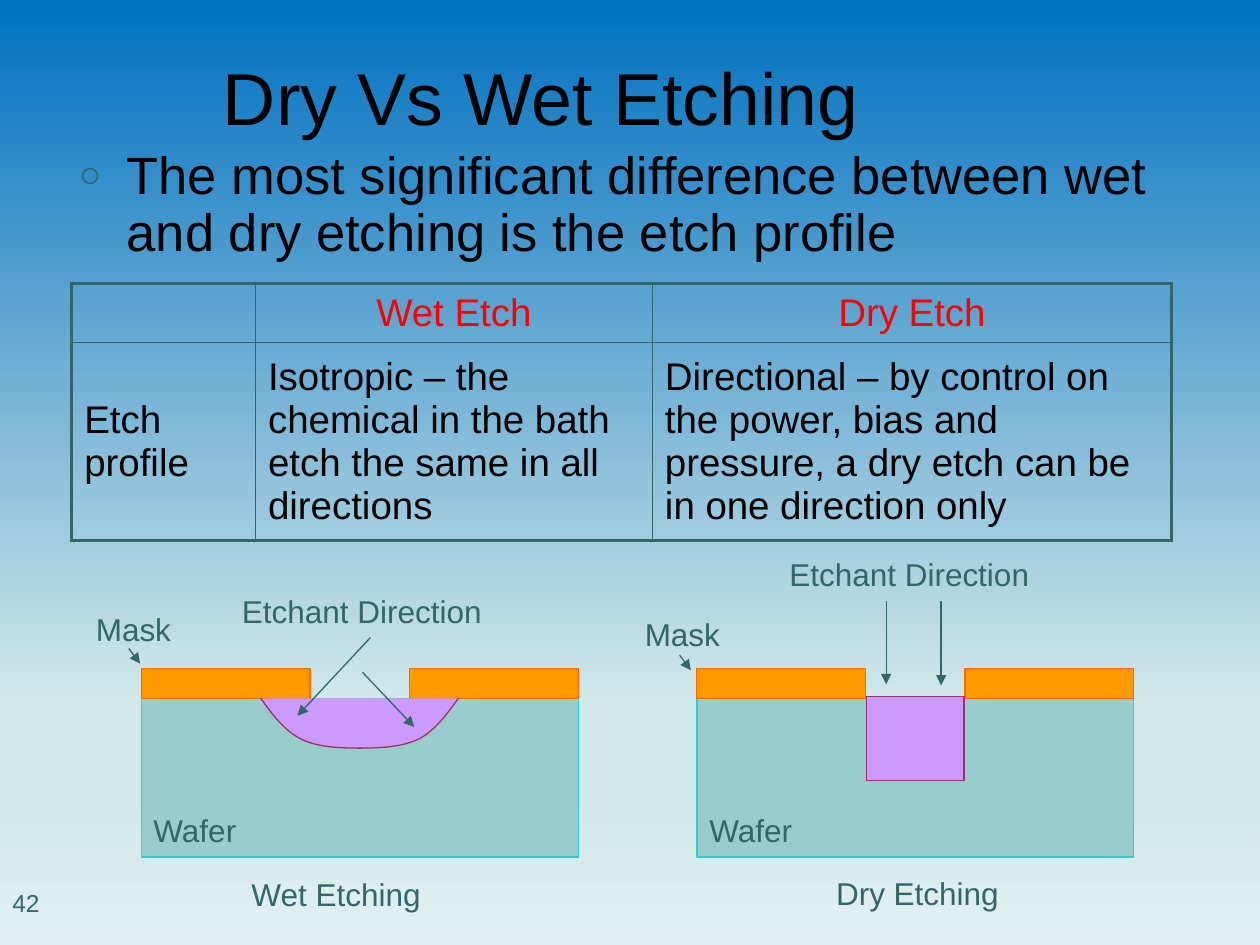
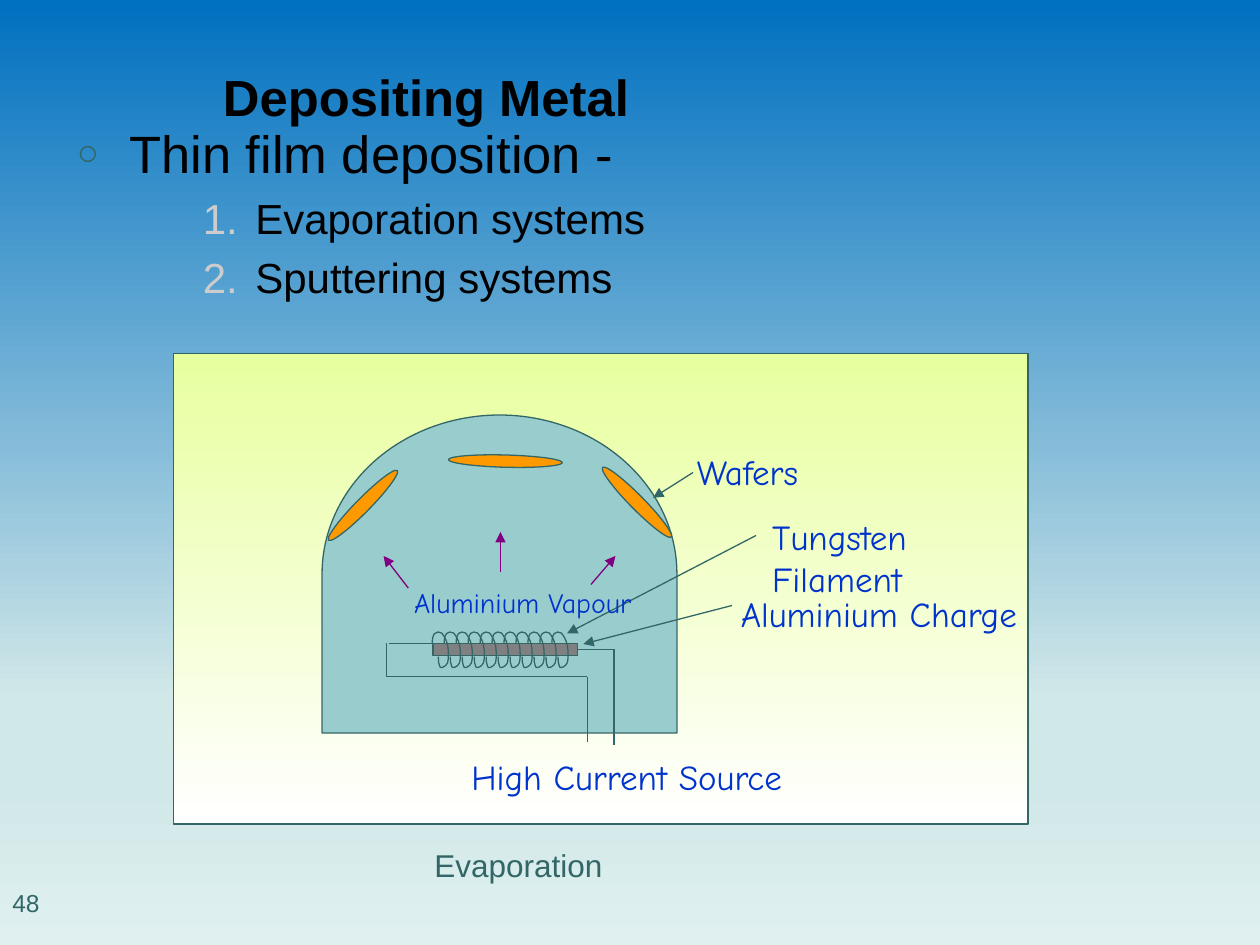
"""Build two slides on etching and on depositing metal."""
from lxml import etree
from pptx import Presentation
from pptx import util as u
from pptx.dml.color import RGBColor
from pptx.enum import shapes, text
from pptx.oxml.ns import qn

Pt = u.Pt
KIND = shapes.MSO_SHAPE
BLACK = RGBColor(0, 0, 0)
RED = RGBColor(0xFF, 0, 0)
TEAL = RGBColor(0x33, 0x66, 0x66)
PALE = RGBColor(0x99, 0xCC, 0xCC)
CYAN = RGBColor(0x33, 0xCC, 0xCC)
AMBER = RGBColor(0xFF, 0x99, 0)
RUST = RGBColor(0xFF, 0x66, 0)
LILAC = RGBColor(0xCC, 0x99, 0xFF)
PLUM = RGBColor(0x99, 0x33, 0x66)
PURPLE = RGBColor(0x80, 0, 0x80)
GREY = RGBColor(0x80, 0x80, 0x80)
SILVER = RGBColor(0xCC, 0xCC, 0xCC)
BLUE = RGBColor(0, 0x33, 0xCC)
LIME = RGBColor(0xE8, 0xFF, 0x9F)
WHITE = RGBColor(0xFF, 0xFF, 0xFF)
MIST = RGBColor(0xD1, 0xE8, 0xE8)
SKY = [(0, RGBColor(0, 0x70, 0xC0)), (74, MIST), (83, MIST),
       (100, RGBColor(0xE0, 0xF0, 0xF0))]
GLOW = [(0, LIME), (100, WHITE)]


def add(parent, tag, **attrs):
    """Append a drawing element and return it."""
    return etree.SubElement(parent, qn("a:" + tag), attrs)


def paint(parent, color):
    """Append a solid colour to an element."""
    add(add(parent, "solidFill"), "srgbClr", val=str(color))


def fade(fill, root, stops):
    """Turn a fill into a gradient from top to bottom."""
    fill.gradient()
    fill.gradient_angle = 270
    ramp = root.find(".//" + qn("a:gsLst"))
    for old in list(ramp):
        ramp.remove(old)
    for pos, color in stops:
        add(add(ramp, "gs", pos=str(pos * 1000)), "srgbClr", val=str(color))


def write(para, words, size=18, color=TEAL, font="Arial", bold=False,
          align=text.PP_ALIGN.LEFT, before=0, lead=None):
    """Put formatted words into a paragraph."""
    run = para.add_run()
    run.text = words
    run.font.size, run.font.name, run.font.bold = Pt(size), font, bold
    run.font.color.rgb = color
    para.alignment, para.space_before = align, Pt(before)
    if lead:
        para.line_spacing = lead


def bullet(para, left, hang, color, size, mark=None):
    """Give a paragraph a hanging sign, or a number when no mark is set."""
    props = para._p.get_or_add_pPr()
    props.set("marL", str(Pt(left)))
    props.set("indent", str(-Pt(hang)))
    add(add(props, "buClr"), "srgbClr", val=str(color))
    add(props, "buSzPct", val=str(size * 1000))
    add(props, "buFont", typeface="Arial")
    if mark:
        add(props, "buChar", char=mark)
    else:
        add(props, "buAutoNum", type="arabicPeriod")


def bend(shape):
    """Turn each three straight segments of an outline into one cubic curve."""
    legs = shape.element.findall(".//" + qn("a:lnTo"))
    track = legs[0].getparent()
    for i in range(0, len(legs), 3):
        arc = add(track, "cubicBezTo")
        for leg in legs[i:i + 3]:
            arc.append(leg[0])
            track.remove(leg)


class Deck:
    """Hold the shared style and the current slide."""

    def __init__(self):
        """Start a deck with the shared backdrop."""
        self.prs = Presentation()
        self.prs.slide_width, self.prs.slide_height = Pt(720), Pt(540)
        master = self.prs.slide_master
        fade(master.background.fill, master.element, SKY)

    def open(self, title, page, **form):
        """Begin a slide with its title and page number."""
        self.slide = self.prs.slides.add_slide(self.prs.slide_layouts[1])
        frame = self.place(self.slide.shapes.title, 120.2, 15.3, 552, 79)
        frame.vertical_anchor = text.MSO_ANCHOR.MIDDLE
        write(frame.paragraphs[0], title, color=BLACK, **form)
        self.label(page, 0, 504, 102, 36, wrap=True, size=14)

    def place(self, holder, x, y, w, h):
        """Move a placeholder and return its text frame."""
        holder.left, holder.top, holder.width, holder.height = map(
            Pt, (x, y, w, h))
        frame = holder.text_frame
        frame.auto_size, frame.word_wrap = text.MSO_AUTO_SIZE.NONE, True
        return frame

    def body(self, x, y, w, h):
        """Return the text frame of the moved list."""
        return self.place(self.slide.placeholders[1], x, y, w, h)

    def label(self, words, x, y, w, h=29, wrap=False, **form):
        """Add a text box, which fits its words unless they wrap."""
        box = self.slide.shapes.add_textbox(Pt(x), Pt(y), Pt(w), Pt(h))
        frame = box.text_frame
        frame.word_wrap = wrap
        if not wrap:
            frame.auto_size = text.MSO_AUTO_SIZE.SHAPE_TO_FIT_TEXT
        write(frame.paragraphs[0], words, **form)

    def dress(self, shape, fill, line):
        """Set fill and outline of a shape."""
        shape.shadow.inherit = False
        if fill is None:
            shape.fill.background()
        elif isinstance(fill, list):
            fade(shape.fill, shape.element, fill)
        else:
            shape.fill.solid()
            shape.fill.fore_color.rgb = fill
        shape.line.color.rgb, shape.line.width = line, Pt(0.75)

    def shape(self, x, y, w, h, fill, line=TEAL, kind=KIND.RECTANGLE, turn=0):
        """Add a preset shape."""
        item = self.slide.shapes.add_shape(kind, Pt(x), Pt(y), Pt(w), Pt(h))
        item.rotation = turn
        self.dress(item, fill, line)

    def curve(self, dots, fill=None, line=TEAL):
        """Add an open curved outline."""
        first, *rest = [(Pt(x), Pt(y)) for x, y in dots]
        pen = self.slide.shapes.build_freeform(*first)
        pen.add_line_segments(rest, close=False)
        item = pen.convert_to_shape()
        bend(item)
        self.dress(item, fill, line)

    def line(self, x1, y1, x2, y2, color=TEAL, tip=True):
        """Add a straight line, with an arrowhead at its end by default."""
        item = self.slide.shapes.add_connector(
            shapes.MSO_CONNECTOR.STRAIGHT, Pt(x1), Pt(y1), Pt(x2), Pt(y2))
        item.line.color.rgb, item.line.width = color, Pt(0.75)
        props = item.element.spPr
        if tip:
            add(props.find(qn("a:ln")), "tailEnd", type="triangle")
        add(props, "effectLst")

    def table(self, x, y, cols, rows, cells):
        """Add a table with a heavy frame and thin inner rules."""
        grid = self.slide.shapes.add_table(
            len(rows), len(cols), Pt(x), Pt(y), Pt(sum(cols)), Pt(sum(rows))).table
        grid.first_row = grid.horz_banding = False
        for col, w in zip(grid.columns, cols):
            col.width = Pt(w)
        for i, h in enumerate(rows):
            grid.rows[i].height = Pt(h)
            for j, words in enumerate(cells[i]):
                cell = grid.cell(i, j)
                cell.vertical_anchor = text.MSO_ANCHOR.MIDDLE
                if words:
                    write(cell.text_frame.paragraphs[0], words, size=22,
                          color=BLACK if i else RED,
                          align=text.PP_ALIGN.LEFT if i else text.PP_ALIGN.CENTER)
                props = cell._tc.get_or_add_tcPr()
                edges = {"lnL": j == 0, "lnR": j == len(cols) - 1,
                         "lnT": i == 0, "lnB": i == len(rows) - 1}
                for tag, outer in edges.items():
                    paint(add(props, tag, w=str(Pt(2.25 if outer else 1))), TEAL)
                add(props, "noFill")


def etch(deck):
    """Draw the slide that compares both ways of etching."""
    deck.open("Dry Vs Wet Etching", "42", size=42)
    para = deck.body(38, 81.7, 648, 55).paragraphs[0]
    write(para, "The most significant difference between wet and dry etching "
          "is the etch profile", size=30, color=BLACK, before=3, lead=0.9)
    bullet(para, 27.2, 27.2, TEAL, 70, "○")
    deck.table(41, 162, (105, 226.8, 296.7), (33.8, 113), [
        ("", "Wet Etch", "Dry Etch"),
        ("Etch profile",
         "Isotropic – the chemical in the bath etch the same in all directions",
         "Directional – by control on the power, bias and pressure, "
         "a dry etch can be in one direction only")])
    for x in (80.8, 398.2):
        deck.shape(x, 399, 249.7, 90.7, PALE, CYAN)
        for gap in (0, 153.2):
            deck.shape(x + gap, 382, 96.5, 17, AMBER, RUST)
    deck.curve([(149, 399), (155.5, 408), (162, 417), (171.5, 422),
                (181, 427), (194, 427.5), (205.5, 427.5),
                (217, 427.5), (230, 427), (240, 422),
                (249, 417), (255.5, 408), (262, 399)], LILAC, PLUM)
    deck.shape(495.1, 398.2, 55.8, 47.8, LILAC, PLUM)
    for ends in ((211.7, 364.3, 170, 409), (207.2, 384.2, 236.7, 415.4),
                 (506.4, 343.7, 506.4, 391), (537.8, 343.7, 537.8, 391.7),
                 (388.4, 374.4, 394.8, 383), (73.6, 370.6, 80.1, 379.2)):
        deck.line(*ends)
    for words, x, y, w in (("Wafer", 80.6, 459.7, 63), ("Wafer", 398.2, 460, 63),
                           ("Mask", 47.7, 345, 58), ("Mask", 361.4, 347.8, 58),
                           ("Etchant Direction", 131.2, 334.8, 152),
                           ("Etchant Direction", 444, 313.5, 152),
                           ("Wet Etching", 136.6, 496.3, 112),
                           ("Dry Etching", 470.7, 496, 108)):
        deck.label(words, x, y, w)


def metal(deck):
    """Draw the slide that shows an evaporation chamber."""
    deck.open("Depositing Metal", "48", size=29, bold=True)
    frame = deck.body(36.7, 65.5, 629, 363)
    first = frame.paragraphs[0]
    write(first, "Thin film deposition -", size=30, color=BLACK, before=3.5)
    bullet(first, 30, 30, TEAL, 70, "○")
    for words in ("Evaporation systems", "Sputtering systems"):
        para = frame.add_paragraph()
        para.level = 2
        write(para, words, size=24, color=BLACK, before=4.8)
        bullet(para, 102, 30, SILVER, 100)

    deck.shape(99.2, 202, 488.3, 268.8, GLOW)
    deck.shape(194.6, 226.6, 181.7, 202.8, PALE, kind=KIND.FLOWCHART_DELAY,
               turn=270)
    for x, y, w, h, turn in ((203.4, 260.8, 8, 56, 44.6),
                             (360, 259, 8, 56, 315.4),
                             (285.3, 231, 7, 65, 271.5)):
        deck.shape(x, y, w, h, AMBER, kind=KIND.OVAL, turn=turn)
    deck.shape(247.5, 367.7, 82.5, 7, GREY)
    turn = [(0, 7), (0, 4.5), (0.5, 2), (1.5, 1.3), (2.2, 0.5), (4.2, 0),
            (5.3, 1), (6.5, 2.2), (8.2, 5), (8.8, 8), (9.4, 11), (9.4, 16),
            (8.8, 18), (8, 20), (5.9, 20.8), (5, 20.8), (4.2, 20.8),
            (4, 18.8), (3.6, 17.5), (3.4, 16.5), (3.4, 15.5), (3.5, 14.5)]
    for n in range(11):
        deck.curve([(247 + 6.84 * n + x, 360.7 + y) for x, y in turn])
    for ends in ((247, 367.6, 222.5, 367.6), (330, 371.2, 350.9, 371.2),
                 (221, 367.5, 221, 386.7), (221, 386.7, 335.7, 386.7),
                 (335.7, 386.7, 335.7, 424), (350.9, 371, 350.9, 425.6)):
        deck.line(*ends, tip=False)
    for ends in ((233.3, 336, 219.2, 317.7), (286, 327, 286, 304),
                 (337.7, 334, 351.7, 317.7)):
        deck.line(*ends, color=PURPLE)
    for ends in ((396, 270, 373.2, 284.5), (418.3, 346, 333.3, 368),
                 (432, 306, 324, 362)):
        deck.line(*ends)
    for words, x, y, w, size, wrap in (
            ("High Current Source", 262.2, 428.2, 207, 20, False),
            ("Wafers", 391.2, 253.7, 86, 20, False),
            ("Aluminium Charge", 416.2, 334.8, 179, 20, False),
            ("Tungsten Filament", 434.2, 291, 150, 20, True),
            ("Aluminium Vapour", 229.5, 331.2, 146, 16, False)):
        deck.label(words, x, y, w, wrap=wrap, size=size, color=BLUE,
                   font="Comic Neue")
    deck.label("Evaporation", 241.2, 479.7, 238, wrap=True, before=2.3)


def main():
    """Build and save the deck."""
    deck = Deck()
    etch(deck)
    metal(deck)
    deck.prs.save("out.pptx")


if __name__ == "__main__":
    main()
